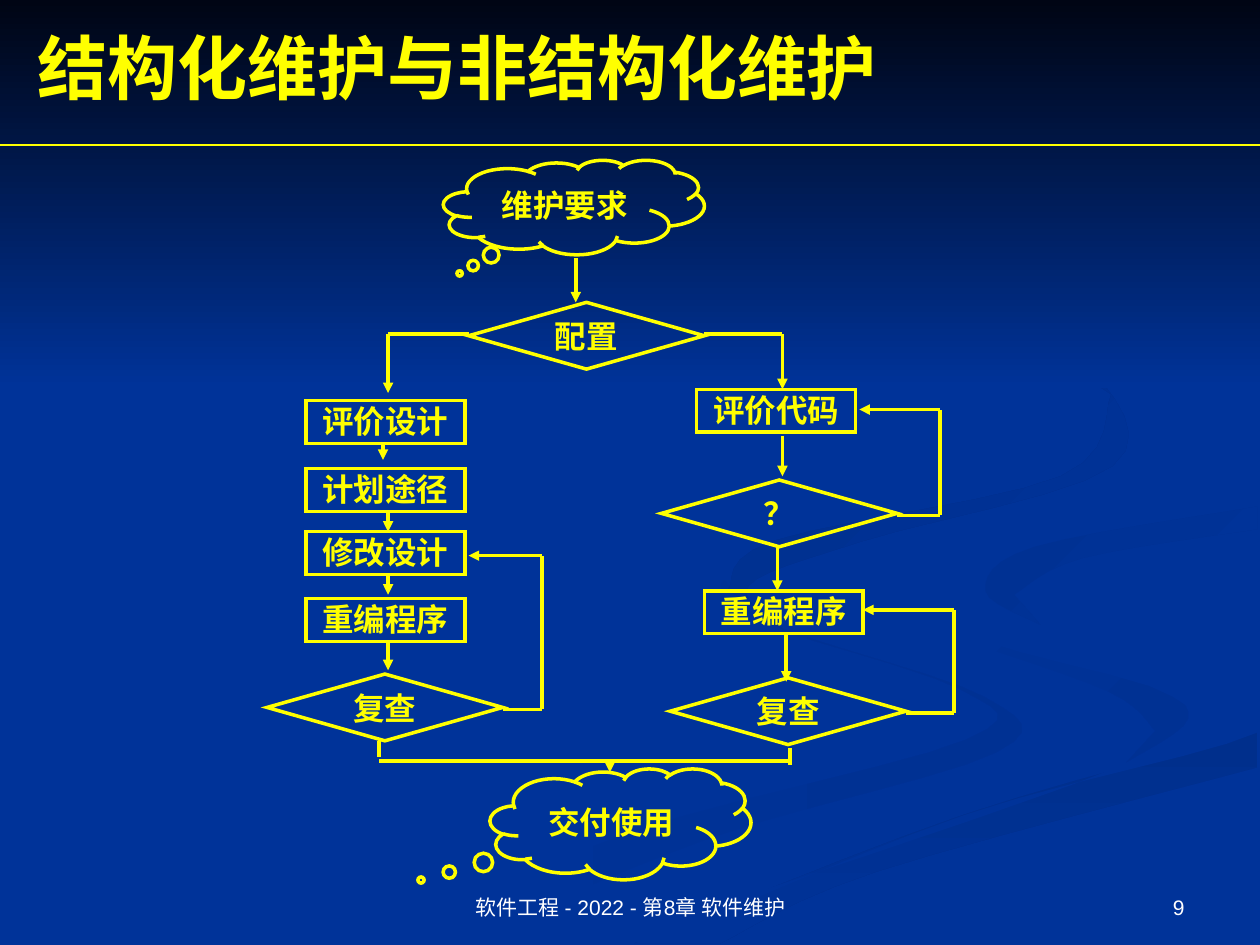
from itertools import pairwise

from lxml.etree import SubElement
from pptx import Presentation
from pptx.dml.color import RGBColor
from pptx.enum.shapes import MSO_CONNECTOR, MSO_SHAPE
from pptx.enum.text import MSO_ANCHOR, PP_ALIGN
from pptx.oxml.ns import qn
from pptx.util import Inches, Pt

BLUE = RGBColor(0x00, 0x33, 0x99)
NIGHT = RGBColor(0x00, 0x05, 0x14)
SHADE = RGBColor(0x00, 0x31, 0x93)
DEEP_SHADE = RGBColor(0x00, 0x2F, 0x8C)
YELLOW = RGBColor(0xFF, 0xFF, 0x00)
WHITE = RGBColor(0xFF, 0xFF, 0xFF)

LABEL = {"name": "Times New Roman", "size": Pt(18), "bold": True}
TITLE = {"name": "Times New Roman", "size": Pt(40), "bold": True}
FOOTER = {"name": "Arial", "size": Pt(12), "bold": False}

# Background ribbons: start colour, end colour, clockwise angle, then two curved edges
RIBBONS = [
    (BLUE, SHADE, 0,
     [(5.75, 4.6), (6.14, 4.96), (7.81, 5.53), (7.91, 5.97), (5.64, 6.65), (3.61, 7.49)],
     [(3, 7.49), (4.99, 6.61), (7.67, 5.87), (7.62, 5.47), (5.93, 4.91), (5.72, 4.64)]),
    (BLUE, SHADE, 45,
     [(7.24, 4.64), (7.58, 4.98), (9.05, 5.4), (9.43, 5.7), (8.94, 6.05)],
     [(9.17, 5.8), (8.8, 5.49), (7.55, 5.05)]),
    (DEEP_SHADE, BLUE, 90,
     [(5.71, 7.49), (6.95, 6.92), (9.98, 6.09)],
     [(9.98, 5.81), (7.64, 6.47), (5.03, 7.49)]),
    (BLUE, BLUE, 0,
     [(9.99, 3.87), (7.7, 4.27), (7.59, 4.98), (9.31, 5.53), (9.02, 6.03), (4.77, 7.49)],
     [(5.19, 7.47), (7.65, 6.47), (9.99, 5.81), (9.99, 5.38), (7.86, 4.73), (9.99, 4.02)]),
    (SHADE, BLUE, 45,
     [(9.98, 4.02), (8.21, 4.34), (7.82, 4.69), (8.26, 4.96)],
     [(8.05, 4.72), (8.59, 4.43), (9.98, 4.2)]),
    (DEEP_SHADE, BLUE, 45,
     [(7.62, 2.33), (8.64, 2.91), (8.83, 3.7), (6.83, 4.3), (5.94, 4.65), (6.22, 5)],
     [(5.78, 4.68), (6.15, 4.29), (8.42, 3.78), (8.82, 3.13)]),
    (NIGHT, BLUE, 90, [(0, 0), (10, 0)], [(10, 3.08), (0, 3.08)]),
]

CLOUDS = [
    ("维护要求", 3.52, 1.27, 0.75, (-0.438, 0.7)),
    ("交付使用", 3.89, 6.1, 0.88, (-0.765, 0.505)),
]
DECISIONS = [("配置", 3.72, 2.4), ("复查", 2.12, 5.35), ("复查", 5.32, 5.38), ("？", 5.25, 3.81)]
STEPS = [
    ("评价设计", 2.43, 3.18), ("计划途径", 2.43, 3.72), ("修改设计", 2.43, 4.22),
    ("重编程序", 2.43, 4.75), ("评价代码", 5.53, 3.09), ("重编程序", 5.59, 4.69),
]
DOWN_ARROWS = [  # x, top, bottom
    (4.57, 2.05, 2.4), (3.04, 3.53, 3.65), (3.08, 4.06, 4.22), (3.08, 4.56, 4.72),
    (3.08, 5.1, 5.32), (6.21, 3.46, 3.78), (6.17, 4.34, 4.69), (6.24, 5.03, 5.41),
    (4.84, 6.04, 6.13),
]
BRANCHES = [(3.72, 3.08, 3.12), (5.59, 6.21, 3.09)]  # start x, end x, bottom
LOOPS = [  # start x, bottom, outer x, top, end x
    (3.99, 5.63, 4.3, 4.41, 3.72),
    (7.12, 4.09, 7.46, 3.25, 6.82),
    (7.19, 5.66, 7.57, 4.84, 6.85),
]
MERGE_LINES = [
    [(3.01, 5.88), (3.01, 6.01)], [(3.01, 6.04), (6.27, 6.04)], [(6.27, 5.94), (6.27, 6.07)],
]


def write_text(shape, text, font_values, color, alignment, anchor, wrap=True):
    frame = shape.text_frame
    frame.word_wrap = wrap
    frame.vertical_anchor = anchor
    paragraph = frame.paragraphs[0]
    paragraph.alignment = alignment
    run = paragraph.add_run()
    run.text = text
    for name, value in font_values.items():
        setattr(run.font, name, value)
    run.font.color.rgb = color


def smooth_edge(points, steps=6):
    """Return a Catmull-Rom curve through the points, in whole EMU."""
    padded = [points[0], *points, points[-1]]
    curve = []
    for a, b, c, d in zip(padded, padded[1:], padded[2:], padded[3:]):
        for t in (step / steps for step in range(steps)):
            curve.append(tuple(
                Inches(q + t * (r - p + t * (2 * p - 5 * q + 4 * r - s
                                             + t * (3 * q - p - 3 * r + s))) / 2)
                for p, q, r, s in zip(a, b, c, d)))
    return curve + [tuple(map(Inches, points[-1]))]


def add_ribbon(shapes, start, end, angle, first_edge, second_edge):
    outline = smooth_edge(first_edge) + smooth_edge(second_edge)
    builder = shapes.build_freeform(*outline[0])
    builder.add_line_segments(outline[1:], close=True)
    shape = builder.convert_to_shape()
    shape.shadow.inherit = False
    shape.line.fill.background()
    shape.fill.gradient()
    shape.fill.gradient_angle = -angle % 360
    for stop, color in zip(shape.fill.gradient_stops, (start, end)):
        stop.color.rgb = color


def add_node(shapes, kind, text, left, top, width, height,
             anchor=MSO_ANCHOR.MIDDLE, wrap=True):
    """Add an unfilled, sharp-cornered yellow outline with a centred label."""
    shape = shapes.add_shape(kind, *map(Inches, (left, top, width, height)))
    shape.shadow.inherit = False
    shape.fill.background()
    shape.line.color.rgb = YELLOW
    shape.line.width = Pt(2)
    SubElement(shape.line._get_or_add_ln(), qn("a:miter"), lim="800000")
    write_text(shape, text, LABEL, YELLOW, PP_ALIGN.CENTER, anchor, wrap)
    return shape


def add_route(shapes, points, arrow=True, width=2):
    """Join the points with straight lines; the last one may carry an arrowhead."""
    for start, end in pairwise(points):
        line = shapes.add_connector(MSO_CONNECTOR.STRAIGHT, *map(Inches, start + end))
        line.line.color.rgb = YELLOW
        line.line.width = Pt(width)
        SubElement(line._element.spPr, qn("a:effectLst"))
    if arrow:
        SubElement(line.line._get_or_add_ln(), qn("a:tailEnd"), type="triangle")


def add_footer(shapes, text, left, width, alignment):
    box = shapes.add_textbox(*map(Inches, (left, 6.83, width, 0.52)))
    write_text(box, text, FOOTER, WHITE, alignment, MSO_ANCHOR.BOTTOM)


def add_title(slide, text):
    title = slide.shapes.title
    title.left, title.top, title.width, title.height = map(Inches, (0.2, 0.14, 9.8, 0.77))
    write_text(title, text, TITLE, YELLOW, PP_ALIGN.LEFT, MSO_ANCHOR.MIDDLE)


def add_flowchart(shapes):
    for text, left, top, height, tail in CLOUDS:
        cloud = add_node(shapes, MSO_SHAPE.CLOUD_CALLOUT, text, left, top, 2.07, height)
        cloud.adjustments[0], cloud.adjustments[1] = tail
    for decision in DECISIONS:
        add_node(shapes, MSO_SHAPE.FLOWCHART_DECISION, *decision, 1.87, 0.53, wrap=False)
    for step in STEPS:
        box = add_node(shapes, MSO_SHAPE.RECTANGLE, *step, 1.26, 0.34, anchor=MSO_ANCHOR.TOP)
        box.text_frame.margin_top = Inches(0.01)
        box.text_frame.margin_bottom = 0
    for x, top, bottom in DOWN_ARROWS:
        add_route(shapes, [(x, top), (x, bottom)])
    for start, end, bottom in BRANCHES:
        add_route(shapes, [(start, 2.65), (end, 2.65), (end, bottom)])
    for start, bottom, outer, top, end in LOOPS:
        add_route(shapes, [(start, bottom), (outer, bottom), (outer, top), (end, top)])
    for merge_line in MERGE_LINES:
        add_route(shapes, merge_line, arrow=False)


def main():
    presentation = Presentation()
    presentation.slide_width, presentation.slide_height = Inches(10), Inches(7.5)
    slide = presentation.slides.add_slide(presentation.slide_layouts[5])
    slide.background.fill.solid()
    slide.background.fill.fore_color.rgb = BLUE
    background = slide.shapes.add_group_shape()
    for ribbon in RIBBONS:
        add_ribbon(background.shapes, *ribbon)
    slide.shapes._spTree.append(slide.shapes.title._element)  # title above the background
    add_title(slide, "结构化维护与非结构化维护")
    add_route(slide.shapes, [(0, 1.15), (10, 1.15)], arrow=False, width=0.75)
    add_flowchart(slide.shapes.add_group_shape().shapes)
    add_footer(slide.shapes, "软件工程 - 2022 - 第8章 软件维护", 3.42, 3.17, PP_ALIGN.CENTER)
    add_footer(slide.shapes, "9", 7.17, 2.33, PP_ALIGN.RIGHT)
    presentation.save("out.pptx")


if __name__ == "__main__":
    main()
